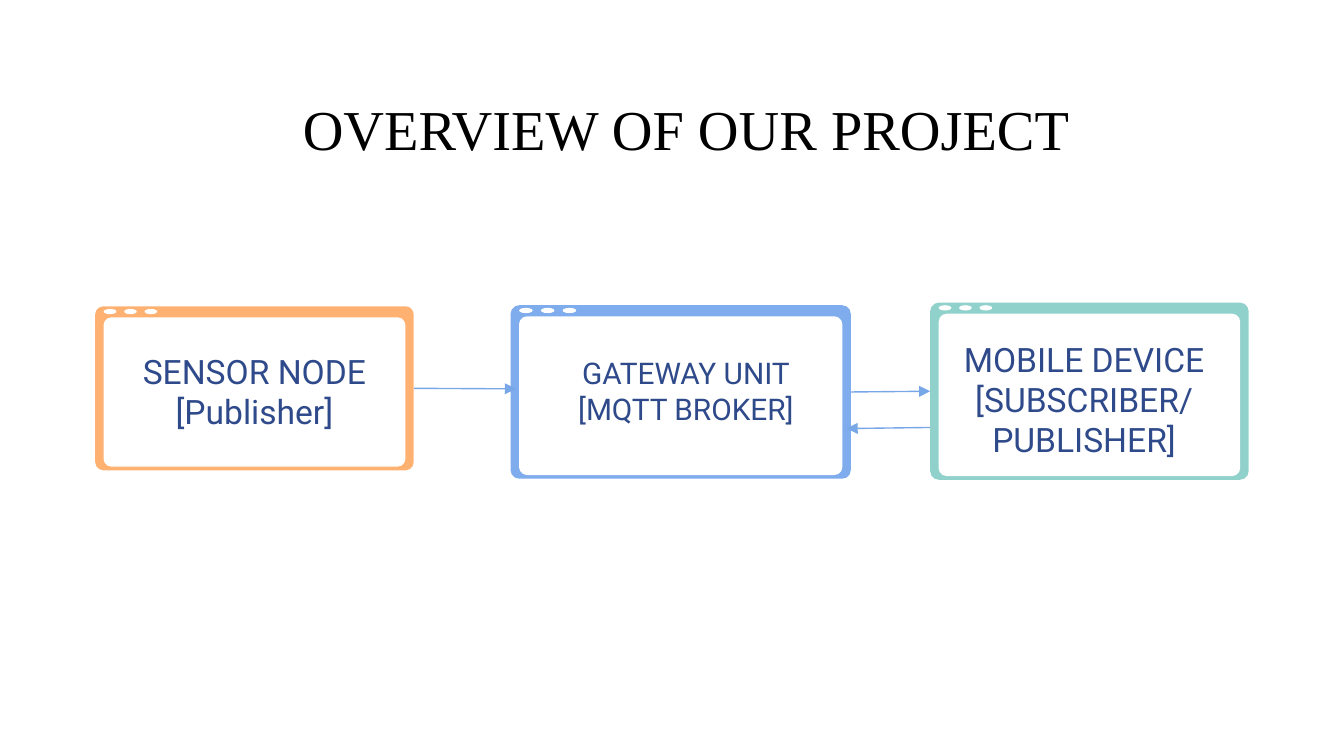
from lxml import etree
from pptx import Presentation
from pptx.dml.color import RGBColor
from pptx.enum.shapes import MSO_CONNECTOR, MSO_SHAPE
from pptx.enum.text import MSO_ANCHOR, PP_ALIGN
from pptx.oxml.ns import qn
from pptx.util import Cm, Pt

ROUNDED, OVAL = MSO_SHAPE.ROUNDED_RECTANGLE, MSO_SHAPE.OVAL
STRAIGHT = MSO_CONNECTOR.STRAIGHT
CENTER, TOP = PP_ALIGN.CENTER, MSO_ANCHOR.TOP
LEFT, RIGHT = 1, 3  # connection sites


def rgb(value):
    return RGBColor.from_string(value)


def write(sp, text, size=18, font="Roboto", color="2F4A8A", spacing=1.0):
    tf = sp.text_frame
    tf.word_wrap = True
    tf.vertical_anchor = TOP
    tf.margin_left = tf.margin_right = tf.margin_top = tf.margin_bottom = Cm(0.25)
    for i, line in enumerate(text.split("\n")):
        p = tf.paragraphs[0] if i == 0 else tf.add_paragraph()
        p.alignment = CENTER
        p.line_spacing = spacing
        r = p.add_run()
        r.text = line
        r.font.size = Pt(size)
        r.font.name = font
        r.font.color.rgb = rgb(color)


class Deck:
    white = "FFFFFF"
    arrow_color = "78A7E8"

    def __init__(self, s):
        self.s = s

    def text(self, x, y, w, h, text, **fmt):
        sp = self.s.shapes.add_textbox(Cm(x), Cm(y), Cm(w), Cm(h))
        write(sp, text, **fmt)
        return sp

    def shape(self, kind, x, y, w, h, fill):
        sp = self.s.shapes.add_shape(kind, Cm(x), Cm(y), Cm(w), Cm(h))
        sp.shadow.inherit = False
        sp.fill.solid()
        sp.fill.fore_color.rgb = rgb(fill)
        sp.line.fill.background()
        if kind == ROUNDED:
            sp.adjustments[0] = 0.05
        return sp

    def window(self, x, y, w, h, fill):
        """Browser-like frame with a white pane and three dots."""
        frame = self.shape(ROUNDED, x, y, w, h, fill)
        self.shape(ROUNDED, x + 0.16, y + 0.21, w - 0.32, h - 0.28, self.white)
        for i in range(3):
            self.shape(OVAL, x + 0.16 + i * 0.064 * w, y + 0.05, 0.04 * w, 0.1, self.white)
        return frame

    def arrow(self, x1, y1, x2, y2, begin=None, end=None):
        c = self.s.shapes.add_connector(STRAIGHT, Cm(x1), Cm(y1), Cm(x2), Cm(y2))
        if begin:
            c.begin_connect(begin, RIGHT)
        if end:
            c.end_connect(end, LEFT)
        c.line.color.rgb = rgb(self.arrow_color)
        c.line.width = Pt(0.75)
        etree.SubElement(c.line._get_or_add_ln(), qn("a:tailEnd"), type="triangle")
        etree.SubElement(c._element.spPr, qn("a:effectLst"))


def main():
    prs = Presentation()
    prs.slide_width, prs.slide_height = Cm(25.4), Cm(14.29)
    deck = Deck(prs.slides.add_slide(prs.slide_layouts[6]))

    # Title
    deck.text(1.14, 1.37, 23.67, 1.6, "OVERVIEW OF OUR PROJECT",
              size=30.2, font="Times New Roman", color="000000", spacing=1.12)

    # Windows
    broker = deck.window(9.65, 5.77, 6.43, 3.28, "7EACEC")
    mobile = deck.window(17.58, 5.72, 6.02, 3.35, "90D1CB")
    sensor = deck.window(1.8, 5.79, 6.02, 3.1, "FFB172")

    # Labels
    deck.text(1.8, 6.38, 6.02, 2.03, "SENSOR NODE\n[Publisher]")
    broker_label = deck.text(9.75, 6.45, 6.43, 1.8, "GATEWAY UNIT\n[MQTT BROKER]", size=16)
    deck.text(17.48, 6.15, 6.02, 2.39, "MOBILE DEVICE\n[SUBSCRIBER/\nPUBLISHER]")

    # Arrows
    deck.arrow(7.82, 7.37, 9.75, 7.34, begin=sensor, end=broker_label)
    deck.arrow(17.58, 8.08, 16, 8.1)
    deck.arrow(16.08, 7.39, 17.58, 7.39, begin=broker, end=mobile)

    prs.save("out.pptx")


if __name__ == "__main__":
    main()
